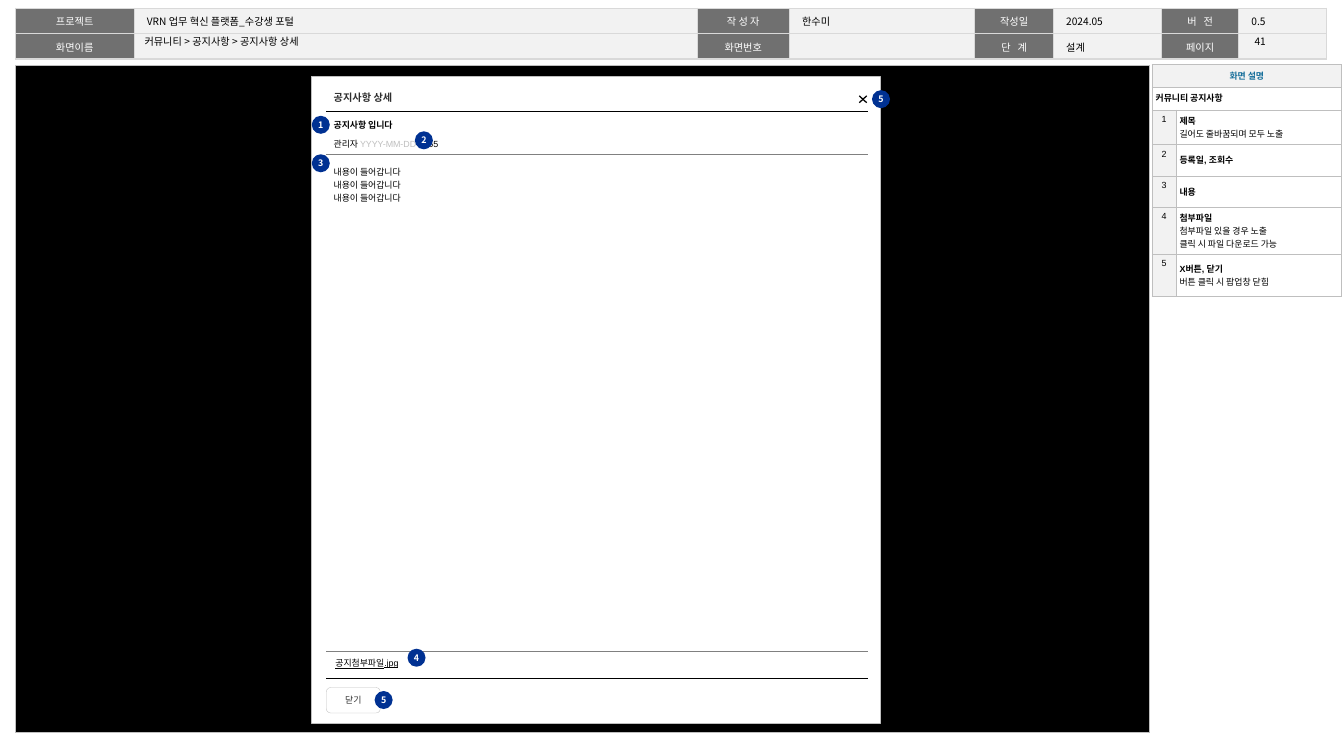
from lxml import etree
from pptx import Presentation
from pptx import util as u
from pptx.dml.color import RGBColor
from pptx.enum import shapes, text
from pptx.oxml import ns

NOTO, ARIAL = "Noto Sans CJK KR", "Arial"
CENTER, LEFT = text.PP_ALIGN.CENTER, text.PP_ALIGN.LEFT
MIDDLE, TOP = text.MSO_ANCHOR.MIDDLE, text.MSO_ANCHOR.TOP
BLACK, WHITE, PALE, GRAY, SILVER = "000000", "FFFFFF", "F2F2F2", "808080", "BFBFBF"
BADGE = 14.2


def rgb(hex_color):
    """Turn a hex string into a colour."""
    return RGBColor.from_string(hex_color)


def points(*lengths):
    """Turn numbers into lengths in points."""
    return [u.Pt(length) for length in lengths]


def add_run(paragraph, words, size, font, color, bold, underline=False):
    """Append one formatted run, with line breaks at newlines."""
    for index, line in enumerate(words.split("\n")):
        if index:
            paragraph.add_line_break()
        run = paragraph.add_run()
        run.text = line
        run.font.size, run.font.name = u.Pt(size), font
        run.font.bold, run.font.underline = bold, underline
        run.font.color.rgb = rgb(color)
        east_asian = etree.SubElement(run.font._element, ns.qn("a:ea"))
        east_asian.set("typeface", NOTO)


def write(frame, *paragraphs, size=7, font=ARIAL, color=BLACK, bold=False,
          align=LEFT, spacing=None):
    """Fill a text frame; a paragraph is a string or a list of (text, format) runs."""
    for index, content in enumerate(paragraphs):
        paragraph = frame.add_paragraph() if index else frame.paragraphs[0]
        paragraph.alignment = align
        if spacing:
            paragraph.line_spacing = spacing
        runs = [(content, {})] if isinstance(content, str) else content
        for words, changes in runs:
            if words:
                look = dict(size=size, font=font, color=color, bold=bold)
                add_run(paragraph, words, **{**look, **changes})
            else:
                paragraph._p.get_or_add_endParaRPr().set("sz", str(size * 100))


def set_margins(holder, left, top, right, bottom):
    """Set the inner margins of a cell or text frame."""
    (holder.margin_left, holder.margin_top,
     holder.margin_right, holder.margin_bottom) = points(left, top, right, bottom)


def add_block(slide, kind, left, top, width, height, fill, line=None, weight=0.5):
    """Add a flat filled shape."""
    block = slide.shapes.add_shape(kind, *points(left, top, width, height))
    block.shadow.inherit = False
    block.fill.solid()
    block.fill.fore_color.rgb = rgb(fill)
    if line:
        block.line.color.rgb, block.line.width = rgb(line), u.Pt(weight)
    else:
        block.line.fill.background()
    block.text_frame.word_wrap = False
    return block


def add_grid(slide, left, top, columns, rows):
    """Add a plain table from column widths and row heights."""
    height, width = sum(rows), sum(columns)
    grid = slide.shapes.add_table(len(rows), len(columns),
                                  *points(left, top, width, height)).table
    grid.first_row = grid.horz_banding = False
    for column, size in zip(grid.columns, columns):
        column.width = u.Pt(size)
    for row, size in zip(grid.rows, rows):
        row.height = u.Pt(size)
    return grid


def style_cell(cell, fill, borders, margins, anchor=TOP):
    """Set fill, margins, anchor and the L, R, T, B borders of a cell."""
    set_margins(cell, *margins)
    cell.vertical_anchor = anchor
    properties = cell._tc.get_or_add_tcPr()
    for side in "LRTB":
        color, weight = borders.get(side, (None, 0))
        edge = etree.SubElement(properties, ns.qn(f"a:ln{side}"), w=str(u.Pt(weight)))
        paint = etree.SubElement(edge, ns.qn("a:solidFill" if color else "a:noFill"))
        if color:
            etree.SubElement(paint, ns.qn("a:srgbClr"), val=color)
    cell.fill.solid()
    cell.fill.fore_color.rgb = rgb(fill)


def add_header(slide, left, top):
    """Draw the project information band with breadcrumb and page number."""
    columns = [93.4, 443.6, 72.4, 146.2, 61.8, 85.4, 60.5, 69.3]
    facts = [["프로젝트", "VRN 업무 혁신 플랫폼_수강생 포털", "작 성 자", "한수미",
              "작성일", "2024.05", "버   전", "0.5"],
             ["화면이름", "", "화면번호", "", "단   계", "설계", "페이지", ""]]
    header = add_grid(slide, left, top, columns, [20, 20])
    for row, values in enumerate(facts):
        for column, value in enumerate(values):
            is_label = column % 2 == 0
            cell = header.cell(row, column)
            style_cell(cell, "707070" if is_label else PALE,
                       dict.fromkeys("LRTB", ("D9D9D9", 1)), (10.1, 3.9, 10.1, 3.6))
            write(cell.text_frame, value, size=8, font=NOTO, spacing=1.05,
                  color=WHITE if is_label else BLACK, align=CENTER if is_label else LEFT)
    for offset, width, words in ((94, 425.5, "커뮤니티 > 공지사항 > 공지사항 상세"),
                                 (968.2, 51.8, "41")):
        label = slide.shapes.add_textbox(*points(left + offset, top + 20.5, width, 11.5))
        frame = label.text_frame
        frame.word_wrap, frame.vertical_anchor = True, MIDDLE
        set_margins(frame, 7.6, 3.6, 7.6, 3.6)
        write(frame, words, size=8, font=NOTO)


def add_description(slide, left, top):
    """Draw the screen description table."""
    notes = [["제목", "길어도 줄바꿈되며 모두 노출"],
             ["등록일, 조회수"],
             ["내용"],
             ["첨부파일", "첨부파일 있을 경우 노출\n클릭 시 파일 다운로드 가능"],
             ["X버튼, 닫기", "버튼 클릭 시 팝업창 닫힘"]]
    description = add_grid(slide, left, top, [18.9, 130.4],
                           [17.8, 18, 27.4, 24.5, 24.5, 37, 33.2])
    borders = dict.fromkeys("LRTB", (SILVER, 0.25))
    margins = (2.9, 3.6, 2.9, 3.6)
    titles = [("화면 설명", PALE, MIDDLE, dict(font=NOTO, color="176F9B", align=CENTER)),
              ("커뮤니티 공지사항", WHITE, TOP, {})]
    for row, (words, fill, anchor, look) in enumerate(titles):
        title, covered = description.cell(row, 0), description.cell(row, 1)
        title.merge(covered)
        style_cell(title, fill, borders, margins, anchor)
        style_cell(covered, fill, borders, margins)
        write(title.text_frame, words, bold=True, **look)
        write(covered.text_frame, "", size=7)
    for number, (heading, *details) in enumerate(notes, 1):
        index, note = description.cell(number + 1, 0), description.cell(number + 1, 1)
        style_cell(index, PALE, borders, margins)
        write(index.text_frame, str(number), align=CENTER)
        style_cell(note, WHITE, borders, margins, MIDDLE)
        write(note.text_frame, [(heading, dict(bold=True))], *details)


def add_notice(slide, left, top):
    """Draw the notice table: title, body and attachment."""
    notice = add_grid(slide, left, top, [239.8, 31.7, 2.2, 95, 56.9], [33.7, 391.5, 21.5])
    black, gray = (BLACK, 1), (GRAY, 0.25)
    rows = [(black, gray, (5.8, 0, 0, 2.9), MIDDLE), (gray, gray, (5.8, 9, 0, 2.9), TOP),
            (gray, black, (7.2, 0, 0, 2.9), MIDDLE)]
    for row, (upper, lower, margins, anchor) in enumerate(rows):
        if row:
            notice.cell(row, 0).merge(notice.cell(row, 4))
        for column in range(5):
            cell = notice.cell(row, column)
            style_cell(cell, WHITE, dict(T=upper, B=lower),
                       (0, 0, 0, 0) if column else margins, anchor)
            if column:
                write(cell.text_frame, "")
    heading, body, attachment = (notice.cell(row, 0).text_frame for row in range(3))
    write(heading, [("공지사항 입니다", dict(bold=True))],
          [("관리자 ", {}), ("YYYY-MM-DD ", dict(color=SILVER)), ("2365", {})], spacing=1.5)
    write(body, *["내용이 들어갑니다"] * 3)
    write(attachment, [("공지첨부파일.jpg", dict(underline=True))])


def add_close_icon(slide, left, top, width, height):
    """Draw the closing cross."""
    for start, end in ((top, top + height), (top + height, top)):
        stroke = slide.shapes.add_connector(shapes.MSO_CONNECTOR.STRAIGHT,
                                            *points(left, start, left + width, end))
        stroke.line.color.rgb, stroke.line.width = rgb(BLACK), u.Pt(1)
        etree.SubElement(stroke._element.spPr, ns.qn("a:effectLst"))


def add_popup(slide, left, top, width, height):
    """Draw the notice popup with its numbered badges."""
    kinds = shapes.MSO_SHAPE
    popup = add_block(slide, kinds.RECTANGLE, left, top, width, height, WHITE, SILVER)
    popup.text_frame.vertical_anchor = TOP
    set_margins(popup.text_frame, 17.3, 11.5, 11.5, 3.6)
    write(popup.text_frame, "공지사항 상세", size=8, font=NOTO, color="2E2E2E", bold=True)
    add_close_icon(slide, left + 431.2, top + 15, 5.8, 5.4)
    close = add_block(slide, kinds.ROUNDED_RECTANGLE, left + 11.5, top + 481, 42.5, 20,
                      WHITE, SILVER, 0.25)
    close.text_frame.vertical_anchor = MIDDLE
    set_margins(close.text_frame, 2.9, 0, 2.9, 0)
    write(close.text_frame, "닫기", color="2E2E2E", align=CENTER)
    add_notice(slide, left + 11.5, top + 27)
    for number, x, y in ((1, 0, 30.7), (2, 81.2, 42.9), (3, 0, 61), (4, 75.4, 450.4),
                         (5, 49.5, 483.7), (5, 441.2, 10.5)):
        badge = add_block(slide, kinds.OVAL, left + x, top + y, BADGE, BADGE, "003192")
        badge.text_frame.vertical_anchor = MIDDLE
        set_margins(badge.text_frame, 0, 0, 0, 0)
        write(badge.text_frame, str(number), font=NOTO, color=WHITE, bold=True, align=CENTER)


def main():
    """Build the screen specification slide."""
    deck = Presentation()
    deck.slide_width, deck.slide_height = points(1058.4, 595.4)
    slide = deck.slides.add_slide(deck.slide_layouts[6])
    add_header(slide, 12.2, 6.5)
    add_block(slide, shapes.MSO_SHAPE.RECTANGLE, 12.2, 51.5, 893.2, 525.5, BLACK, SILVER)
    add_popup(slide, 245.5, 60.5, 447.8, 509)
    add_description(slide, 907.2, 50.7)
    deck.save("out.pptx")


if __name__ == "__main__":
    main()
